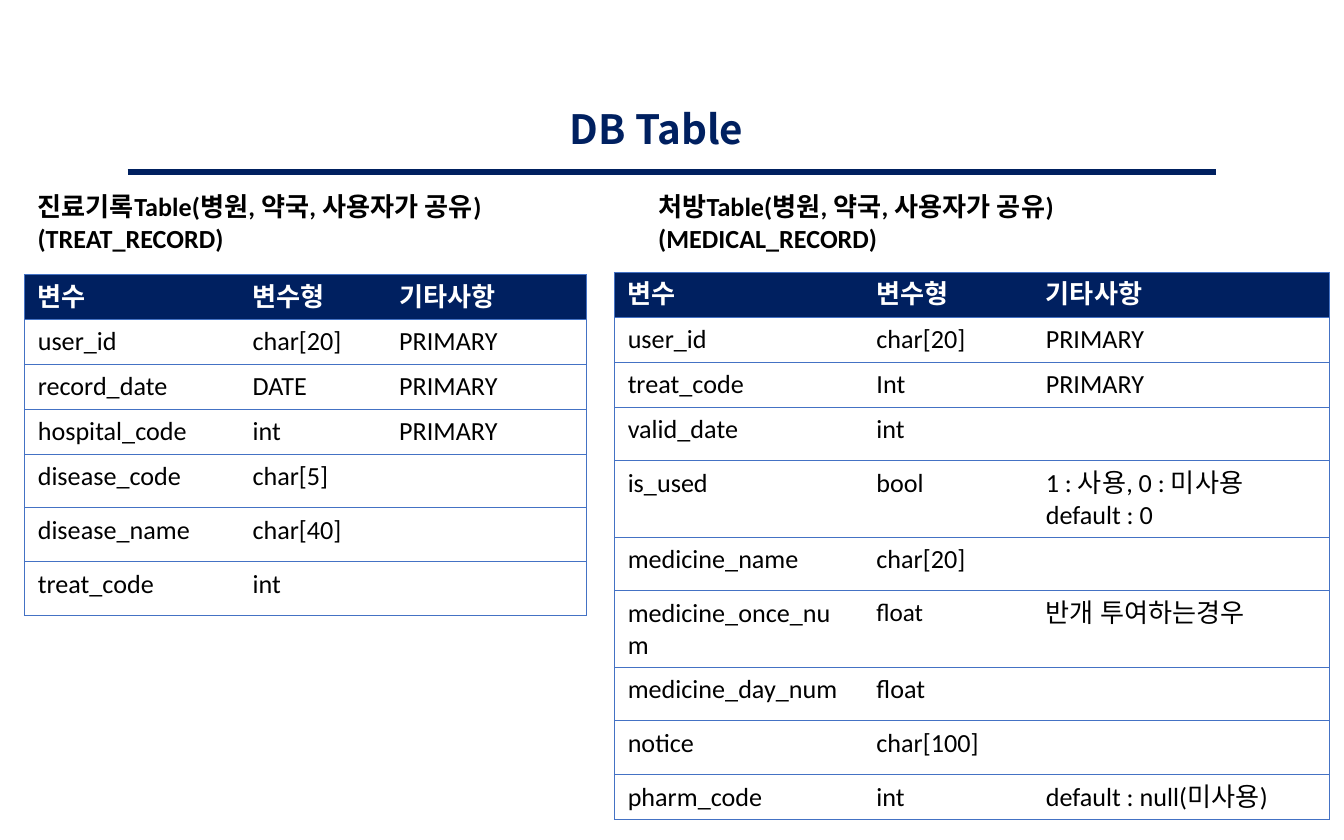
from lxml.etree import SubElement
from pptx import Presentation
from pptx.dml.color import RGBColor
from pptx.enum.shapes import MSO_CONNECTOR
from pptx.enum.text import MSO_AUTO_SIZE
from pptx.oxml.ns import qn
from pptx.util import Cm, Pt

NAVY, BLUE, BLACK, WHITE = "002060", "4472C4", "000000", "FFFFFF"


def color(code):
    return RGBColor.from_string(code)


class Page:
    font = "Calibri"
    size = 14
    row = 0.84

    def __init__(self, slide):
        self.slide = slide

    def put(self, frame, lines, ink=BLACK, bold=False, size=None, font=None):
        for i, line in enumerate(lines):
            para = frame.paragraphs[0] if i == 0 else frame.add_paragraph()
            run = para.add_run()
            run.text = line
            run.font.name = font or self.font
            run.font.size = Pt(size or self.size)
            run.font.bold = bold
            run.font.color.rgb = color(ink)
            east = SubElement(run.font._element, qn("a:ea"))
            east.set("typeface", font or self.font)

    def text(self, x, y, w, h, lines, wrap=True, **style):
        frame = self.slide.shapes.add_textbox(Cm(x), Cm(y), Cm(w), Cm(h)).text_frame
        frame.word_wrap = wrap
        frame.auto_size = MSO_AUTO_SIZE.SHAPE_TO_FIT_TEXT
        self.put(frame, lines, bold=True, **style)

    def line(self, x1, y, x2):
        rule = self.slide.shapes.add_connector(
            MSO_CONNECTOR.STRAIGHT, Cm(x1), Cm(y), Cm(x2), Cm(y))
        rule.line.color.rgb = color(NAVY)
        rule.line.width = Pt(3)
        SubElement(rule._element.spPr, qn("a:effectLst"))

    def edge(self, cell, side, shown):
        ln = SubElement(cell._tc.get_or_add_tcPr(), qn("a:ln" + side))
        if shown:
            ln.set("w", str(int(Pt(0.5))))
            fill = SubElement(ln, qn("a:solidFill"))
            SubElement(fill, qn("a:srgbClr")).set("val", BLUE)
        else:
            ln.set("w", "0")
            SubElement(ln, qn("a:noFill"))

    def table(self, x, y, widths, rows, tall=None):
        grid = self.slide.shapes.add_table(
            len(rows), len(widths), Cm(x), Cm(y),
            Cm(sum(widths)), Cm(self.row * len(rows))).table
        grid.horz_banding = False
        last = len(widths) - 1
        for c, width in enumerate(widths):
            grid.columns[c].width = Cm(width)
        for r, row in enumerate(rows):
            grid.rows[r].height = Cm((tall or {}).get(r, self.row))
            head = r == 0
            for c, words in enumerate(row):
                cell = grid.cell(r, c)
                for side, shown in (("L", c == 0), ("R", c == last),
                                    ("T", True), ("B", True)):
                    self.edge(cell, side, shown)
                if head:
                    cell.fill.solid()
                    cell.fill.fore_color.rgb = color(NAVY)
                else:
                    cell.fill.background()
                self.put(cell.text_frame, words.split("\n"),
                         ink=WHITE if head else BLACK, bold=head)
        return grid


deck = Presentation()
deck.slide_width, deck.slide_height = Cm(25.4), Cm(15.88)
page = Page(deck.slides.add_slide(deck.slide_layouts[6]))

# Title and rule
page.text(10.52, 1.85, 3.89, 1.17, ["DB Table"], wrap=False,
          ink=NAVY, size=21.6, font="Noto Sans CJK KR")
page.line(2.41, 3.25, 22.99)

# Table captions
for x, name, code in ((0.46, "진료기록", "TREAT"), (12.19, "처방", "MEDICAL")):
    page.text(x, 3.48, 11.43, 1.45,
              [name + "Table(병원, 약국, 사용자가 공유)", f"({code}_RECORD)"])

# Treatment records
head = ("변수", "변수형", "기타사항")
page.table(0.46, 5.19, (4.06, 2.77, 3.79), [
    head,
    ("user_id", "char[20]", "PRIMARY"),
    ("record_date", "DATE", "PRIMARY"),
    ("hospital_code", "int", "PRIMARY"),
    ("disease_code", "char[5]", ""),
    ("disease_name", "char[40]", ""),
    ("treat_code", "int", ""),
])

# Prescriptions
drugs = page.table(11.61, 5.15, (4.7, 3.2, 5.61), [
    head,
    ("user_id", "char[20]", "PRIMARY"),
    ("treat_code", "Int", "PRIMARY"),
    ("valid_date", "int", ""),
    ("is_used", "bool", "1 : 사용, 0 : 미사용\ndefault : 0"),
    ("medicine_name", "char[20]", ""),
    ("medicine_once_num", "float", "반개 투여하는경우"),
    ("medicine_day_num", "float", ""),
    ("notice", "char[100]", ""),
    ("pharm_code", "int", "default : null(미사용)"),
], tall={4: 1.3})
drugs.cell(6, 1).text_frame.paragraphs[0].runs[0].font.size = Pt(13.5)

deck.save("out.pptx")
